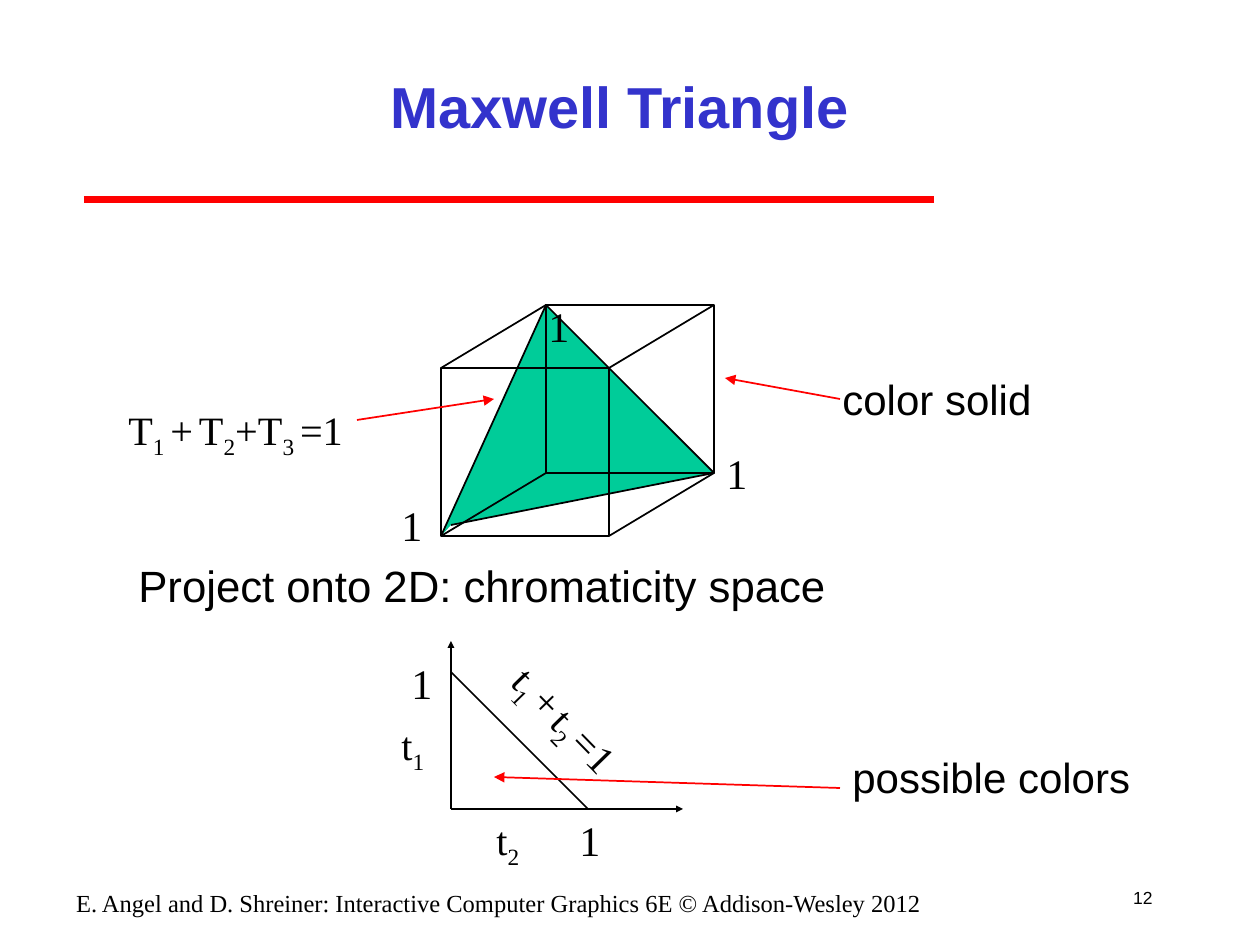
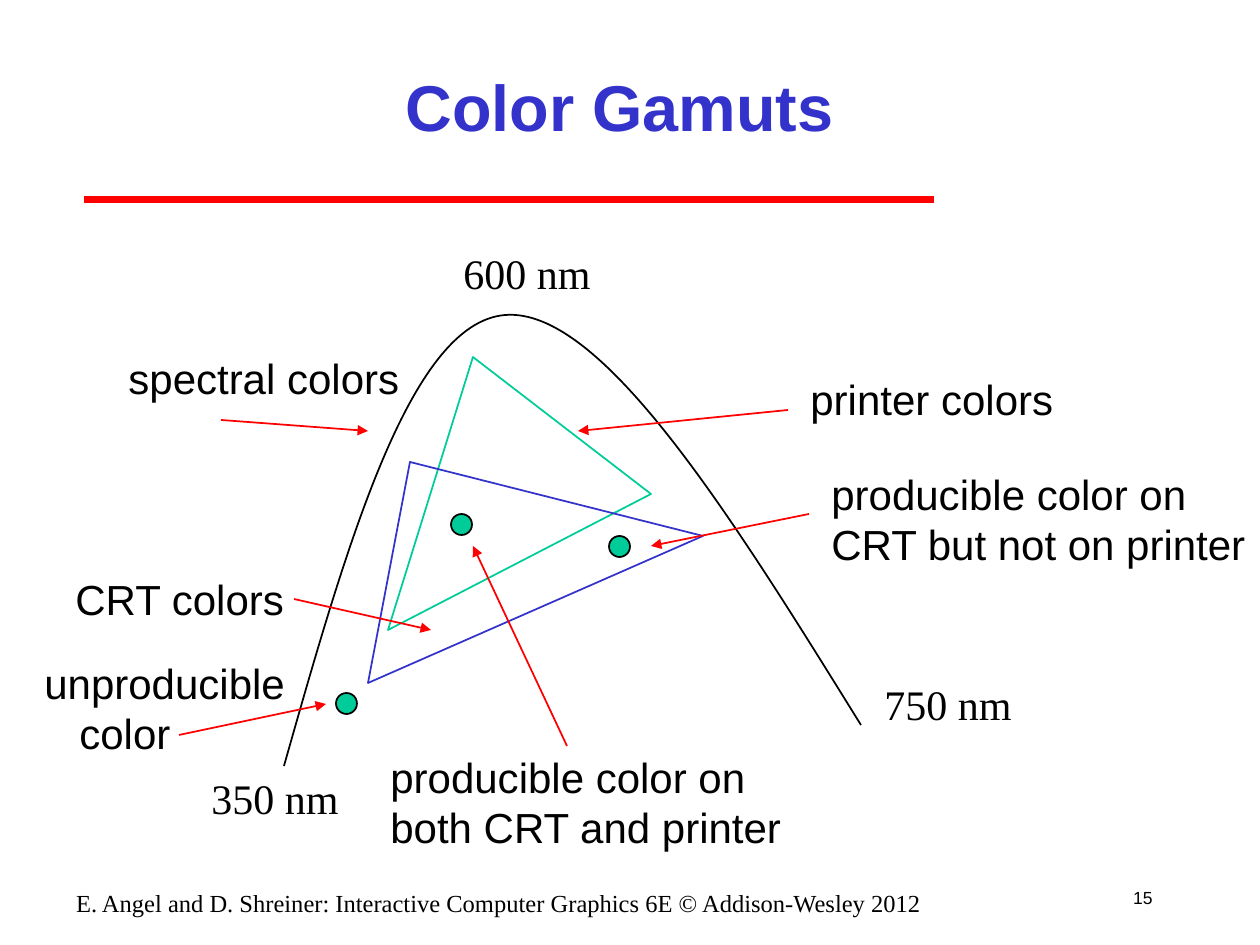
from itertools import product

from lxml import etree
from pptx import Presentation
from pptx import util as u
from pptx.dml.color import RGBColor
from pptx.enum import shapes, text
from pptx.oxml import ns

PX = 914400 / 126  # EMU per px
BLACK = RGBColor(0, 0, 0)
RED = RGBColor(255, 0, 0)
BLUE = RGBColor(0x33, 0x33, 0xCC)
GREEN = RGBColor(0, 0xCC, 0x99)
SANS, SERIF = "Arial", "Times New Roman"

# Shared content
FOOTER = "E. Angel and D. Shreiner: Interactive Computer Graphics 6E © Addison-Wesley 2012"
TITLE_BOX = (189, 32, 861, 147)
FOOTER_BOX = (63, 882, 872, 32)
NUMBER_BOX = (1112, 871, 53, 53)
RULE = (84, 200, 934, 200)

# Maxwell triangle: odd parts between bars are subscripts
CUBE_FRONT, CUBE_BACK, CUBE_SIDE = (441, 368), (546, 305), 168
COLOR_PLANE = [(441, 536), (546, 305), (714, 473), (451, 525)]
PROJECTION = ("Project onto 2D: chromaticity space", (126, 567, 1081, 53))
UNIT_MARKS = [(536, 294), (714, 441), (389, 493), (399, 651), (567, 808)]
EQUATIONS = [
    ("T|1 |+| |T|2|+T|3 |=1", (116, 399, 284, 68), 0),
    ("t|1", (389, 714, 48, 68), 0),
    ("t|2", (484, 809, 48, 68), 0),
    ("t|1 |+| |t|2 |=1", (486, 688, 154, 68), 45.8),
]
SOLID_LABELS = [
    ("color solid", (830, 367, 214, 63)),
    ("possible colors", (840, 745, 303, 63)),
]
SOLID_ARROWS = [(357, 420, 494, 399), (840, 399, 725, 378), (840, 788, 494, 777)]
AXES = [(451, 809, 451, 641), (451, 809, 683, 809)]
HYPOTENUSE = (451, 672, 588, 809)

# Color gamuts
SPECTRUM = [(284, 766), (347, 544), (410, 323), (505, 315),
            (602, 307), (732, 517), (861, 725)]
GAMUTS = [
    ([(388, 630), (473, 357), (651, 494)], GREEN),
    ([(368, 683), (410, 462), (703, 536)], BLUE),
]
SAMPLE_SIZE = 21
SAMPLES = [(451, 514), (336, 693), (609, 536)]
WAVELENGTHS = [("350 nm", (199, 766)), ("750 nm", (872, 672)), ("600 nm", (451, 241))]
GAMUT_LABELS = [
    ("spectral colors", (116, 346, 296, 63), 0),
    ("printer colors", (798, 367, 268, 63), 0),
    ("CRT colors", (63, 567, 234, 63), 0),
    ("producible color on\nCRT but not on printer", (819, 462, 441, 113), 0),
    ("producible color on\nboth CRT and printer", (378, 745, 417, 113), 0),
    ("unproducible\ncolor", (32, 651, 277, 113), 35),
]
GAMUT_ARROWS = [
    (567, 746, 473, 546), (788, 410, 578, 431), (221, 420, 368, 431),
    (294, 599, 431, 630), (809, 514, 651, 546), (179, 735, 326, 704),
]


def emu(values):
    return [round(v * PX) for v in values]


def write(tf, words, size=24, font=SANS, color=BLACK, bold=False, align=None,
          spacing=None, indent=0):
    """Fill a text frame; indent moves the paragraphs after the first."""
    for i, line_words in enumerate(words.split("\n")):
        p = tf.add_paragraph() if i else tf.paragraphs[0]
        if i and indent:
            p._p.get_or_add_pPr().set("marL", str(round(indent * PX)))
        if align is not None:
            p.alignment = align
        if spacing:
            p.line_spacing = spacing
        for j, part in enumerate(line_words.split("|")):
            r = p.add_run()
            r.text = part
            r.font.name, r.font.size, r.font.bold = font, u.Pt(size), bold
            r.font.color.rgb = color
            if j % 2:
                r._r.get_or_add_rPr().set("baseline", "-25000")


def label(s, words, box, rotation=0, wrap=False, anchor=None, **fmt):
    """Add a text box; without wrapping it grows to fit its lines."""
    sp = s.shapes.add_textbox(*emu(box))
    sp.rotation = rotation
    tf = sp.text_frame
    tf.word_wrap = wrap
    if not wrap:
        tf.auto_size = text.MSO_AUTO_SIZE.SHAPE_TO_FIT_TEXT
    if anchor is not None:
        tf.vertical_anchor = anchor
    write(tf, words, **fmt)


def line(parent, ends, color=BLACK, width=1, head=None):
    """Draw a straight line; head is the arrowhead size at its end."""
    c = parent.shapes.add_connector(shapes.MSO_CONNECTOR.STRAIGHT, *emu(ends))
    c.line.color.rgb, c.line.width = color, u.Pt(width)
    if head:
        etree.SubElement(c.line._get_or_add_ln(), ns.qn("a:tailEnd"),
                         type="triangle", w=head, len=head)
    etree.SubElement(c._element.spPr, ns.qn("a:effectLst"))


def paint(sp, fill=None, color=BLACK):
    sp.shadow.inherit = False
    if fill is None:
        sp.fill.background()
    else:
        sp.fill.solid()
        sp.fill.fore_color.rgb = fill
    sp.line.color.rgb, sp.line.width = color, u.Pt(1)


def preset(parent, kind, box, fill=None):
    paint(parent.shapes.add_shape(kind, *emu(box)), fill)


def outline(s, points, close=False, curved=False, **colors):
    """Draw a polygon, or cubic curves with three points a segment."""
    fb = s.shapes.build_freeform(*points[0], scale=PX)
    fb.add_line_segments(points[1:], close=close)
    sp = fb.convert_to_shape()
    if curved:
        steps = list(sp._element.iter(ns.qn("a:lnTo")))
        for i in range(0, len(steps), 3):
            curve = etree.Element(ns.qn("a:cubicBezTo"))
            steps[i].addprevious(curve)
            for step in steps[i:i + 3]:
                curve.append(step[0])
                step.getparent().remove(step)
    paint(sp, **colors)


def new_slide(prs, title, size, number):
    s = prs.slides.add_slide(prs.slide_layouts[5])
    line(s, RULE, RED, 4)
    label(s, number, NUMBER_BOX, wrap=True, size=10, align=text.PP_ALIGN.RIGHT,
          anchor=text.MSO_ANCHOR.MIDDLE)
    label(s, FOOTER, FOOTER_BOX, wrap=True, size=14, font=SERIF,
          align=text.PP_ALIGN.CENTER)
    sp = s.shapes.title
    sp.left, sp.top, sp.width, sp.height = emu(TITLE_BOX)
    sp.text_frame.vertical_anchor = text.MSO_ANCHOR.MIDDLE
    write(sp.text_frame, title, size=size, color=BLUE, bold=True,
          align=text.PP_ALIGN.CENTER)
    return s


def maxwell_slide(prs):
    s = new_slide(prs, "Maxwell Triangle", 33, "12")
    outline(s, COLOR_PLANE, fill=GREEN)

    # Color solid
    cube = s.shapes.add_group_shape()
    for corner in (CUBE_FRONT, CUBE_BACK):
        preset(cube, shapes.MSO_SHAPE.RECTANGLE, (*corner, CUBE_SIDE, CUBE_SIDE))
    for dx, dy in product((0, CUBE_SIDE), repeat=2):
        line(cube, [a + d for a, d in zip(CUBE_FRONT + CUBE_BACK, (dx, dy) * 2)])

    # Chromaticity axes
    for ends in AXES:
        line(s, ends, head="sm")
    line(s, HYPOTENUSE)

    # Labels and pointers
    words, box = PROJECTION
    label(s, words, box, wrap=True, size=25, spacing=0.7)
    for x, y in UNIT_MARKS:
        label(s, "1", (x, y, 45, 63), font=SERIF)
    for words, box, rotation in EQUATIONS:
        label(s, words, box, rotation, wrap=words.startswith("T"), size=23, font=SERIF)
    for words, box in SOLID_LABELS:
        label(s, words, box)
    for ends in SOLID_ARROWS:
        line(s, ends, RED, head="med")


def gamut_slide(prs):
    s = new_slide(prs, "Color Gamuts", 37, "15")

    # Spectrum, gamuts and sample colors
    outline(s, SPECTRUM, curved=True)
    for corners, color in GAMUTS:
        outline(s, corners, close=True, color=color)
    for x, y in SAMPLES:
        preset(s, shapes.MSO_SHAPE.OVAL, (x, y, SAMPLE_SIZE, SAMPLE_SIZE), GREEN)

    # Labels and pointers
    for words, corner in WAVELENGTHS:
        label(s, words, (*corner, 152, 63), font=SERIF)
    for words, box, indent in GAMUT_LABELS:
        label(s, words, box, indent=indent)
    for ends in GAMUT_ARROWS:
        line(s, ends, RED, head="med")


def main():
    prs = Presentation()
    prs.slide_width, prs.slide_height = emu((1260, 945))
    maxwell_slide(prs)
    gamut_slide(prs)
    prs.save("out.pptx")


if __name__ == "__main__":
    main()
